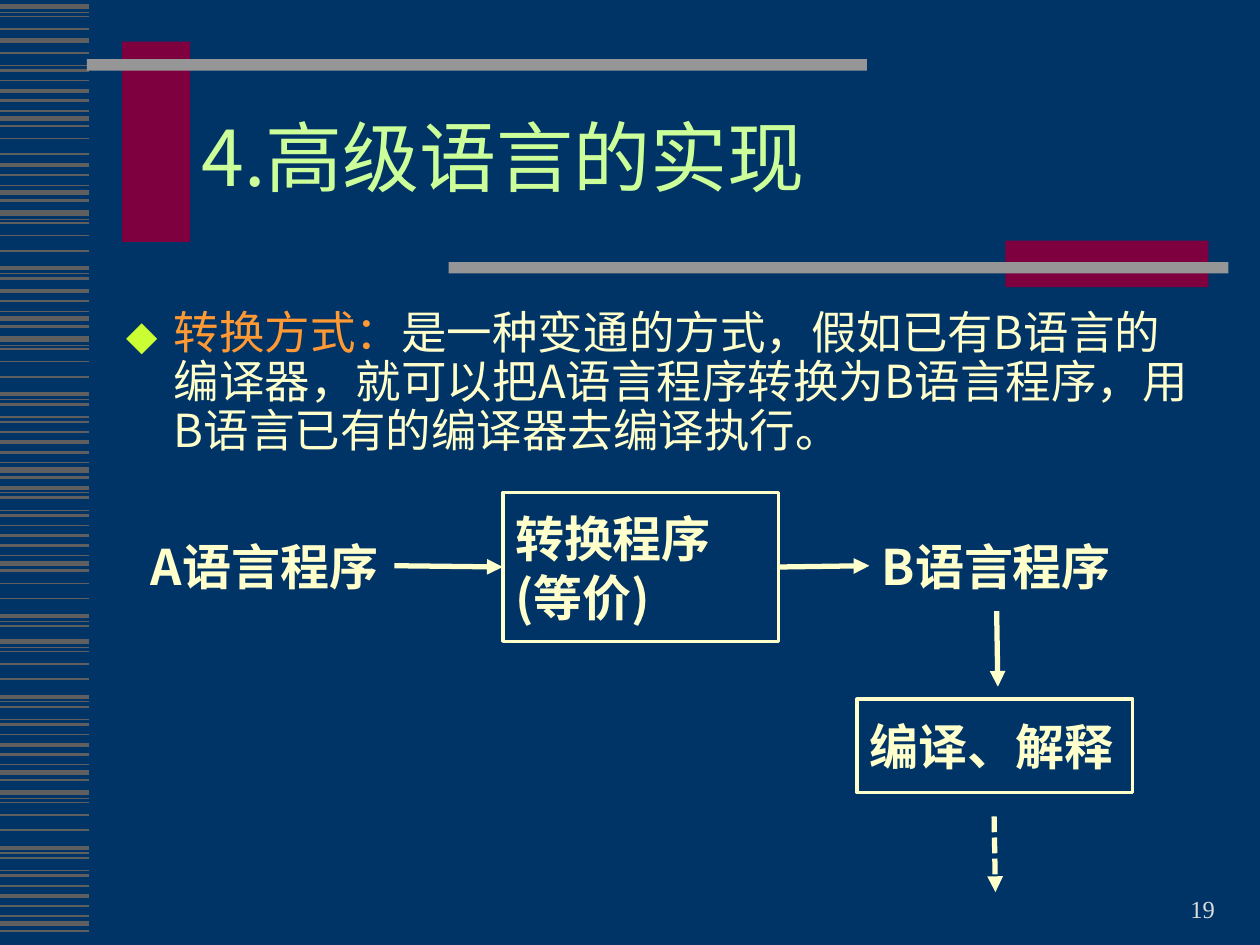
from lxml import etree
from pptx import Presentation
from pptx import util as u
from pptx.dml.color import RGBColor
from pptx.enum import dml, shapes, text
from pptx.oxml.ns import qn

NAVY, CREAM, LIME, ORANGE = "003366", "FFFFCC", "CCFF99", "FF9933"
WINE, SILVER, GRAPHITE = "7E003F", "969696", "5F5F5F"
SANS, SERIF = "Noto Sans CJK SC", "Times New Roman"

STRIPES = [
    (0, 3), (0.05, 0.75), (0.08, 1), (0.18, 1), (0.3, 1), (0.44, 2.25),
    (0.48, 0.75), (0.52, 1.5), (0.62, 0.75), (0.66, 1.5), (0.74, 1),
    (0.82, 2.25), (0.9, 1.5), (0.98, 0.75), (1.04, 3), (1.1, 1.5),
]
STRIPE_RUNS = [
    (0.05, 0, 4), (0.32, 0, 1), (-0.1, 7, 16), (0.92, 3, 5), (0.49, 11, 16),
    (1.69, 0, 8), (1.49, 11, 16), (2.69, 0, 16), (3.43, 5, 16),
    (4.45, 3, 8), (5.09, 0, 16), (6.29, 0, 16),
]


def color(value):
    """Turn a hex string into a colour."""
    return RGBColor.from_string(value)


def style(run, size, tint, bold=False, face=SANS):
    """Format one run, for Latin and East Asian letters alike."""
    run.font.size = u.Pt(size)
    run.font.bold = bold
    run.font.name = face
    run.font.color.rgb = color(tint)
    east = etree.Element(qn("a:ea"), typeface=face)
    run.font._element.find(qn("a:latin")).addnext(east)


def add_line(slide, start, end, tint, width):
    """Draw a plain straight line between two points in inches."""
    line = slide.shapes.add_connector(
        shapes.MSO_CONNECTOR.STRAIGHT, *map(u.Inches, start + end))
    line.line.color.rgb = color(tint)
    line.line.width = u.Pt(width)
    etree.SubElement(line._element.spPr, qn("a:effectLst"))
    return line


def add_arrow(slide, start, end, dashed=False):
    """Draw an arrow with a triangular head at its end."""
    arrow = add_line(slide, start, end, CREAM, 3)
    if dashed:
        arrow.line.dash_style = dml.MSO_LINE.SQUARE_DOT
    etree.SubElement(arrow.line._get_or_add_ln(), qn("a:tailEnd"), type="triangle")
    return arrow


def add_block(slide, box, fill, outline=None):
    """Draw a rectangle in the given box."""
    block = slide.shapes.add_shape(
        shapes.MSO_SHAPE.RECTANGLE, *map(u.Inches, box))
    block.shadow.inherit = False
    block.fill.solid()
    block.fill.fore_color.rgb = color(fill)
    if outline:
        block.line.color.rgb = color(outline)
        block.line.width = u.Pt(2)
    else:
        block.line.fill.background()
    return block


def write(holder, words, size, tint, anchor=text.MSO_ANCHOR.TOP,
          align=text.PP_ALIGN.LEFT, bold=False, face=SANS):
    """Fill a shape with uniformly formatted paragraphs."""
    frame = holder.text_frame
    frame.word_wrap = True
    frame.vertical_anchor = anchor
    frame.text = words
    for paragraph in frame.paragraphs:
        paragraph.alignment = align
        for run in paragraph.runs:
            style(run, size, tint, bold, face)
    return frame


def add_text(slide, box, *args, **options):
    """Place a text box and fill it."""
    return write(slide.shapes.add_textbox(*map(u.Inches, box)), *args, **options)


def stripe_band(slide, left, width):
    """Fill the side band with repeats of the stripe pattern."""
    for origin, first, last in STRIPE_RUNS:
        for offset, weight in STRIPES[first:last]:
            y = origin + offset
            add_line(slide, (left, y), (left + width, y), GRAPHITE, weight)


def heading(slide, left, top):
    """Place the title with the blocks and bars around it."""
    for x, y, width, height, fill in [
        (0.28, 0, 0.54, 1.59, WINE),
        (0, 0.14, 6.19, 0.09, SILVER),
        (7.29, 1.58, 1.61, 0.37, WINE),
        (2.87, 1.75, 6.19, 0.09, SILVER),
    ]:
        add_block(slide, (left + x, top + y, width, height), fill)
    title = add_text(slide, (left + 0.81, top + 0.34, 8.07, 1.25),
                     "4.高级语言的实现", 44, LIME, text.MSO_ANCHOR.MIDDLE)
    title.paragraphs[0].line_spacing = 0.85


def explanation(slide, box):
    """Write the bulleted explanation of the conversion method."""
    frame = add_text(slide, box, "转换方式：", 26, ORANGE)
    paragraph = frame.paragraphs[0]
    paragraph.line_spacing = 0.9
    detail = paragraph.add_run()
    detail.text = ("是一种变通的方式，假如已有B语言的编译器，就可以把A语言程序"
                   "转换为B语言程序，用B语言已有的编译器去编译执行。")
    style(detail, 26, CREAM)
    props = paragraph._p.get_or_add_pPr()
    props.set("marL", str(u.Inches(0.38)))
    props.set("indent", str(-u.Inches(0.38)))
    tint = etree.SubElement(props, qn("a:buClr"))
    etree.SubElement(tint, qn("a:srgbClr"), val="CCFF33")
    etree.SubElement(props, qn("a:buFont"), typeface=SANS)
    etree.SubElement(props, qn("a:buChar"), char="⬥")


def conversion_flow(slide, left, top):
    """Draw the flow from language A through conversion to execution."""
    def at(x, y):
        return left + x, top + y

    def step(box, words):
        block = add_block(slide, at(*box[:2]) + box[2:], NAVY, CREAM)
        write(block, words, 28, CREAM, text.MSO_ANCHOR.MIDDLE, bold=True)
        return block

    add_text(slide, at(0, 0.3) + (2.03, 1.04), "A语言程序", 28, CREAM, bold=True)
    add_text(slide, at(5.8, 0.3) + (2.25, 0.57), "B语言程序", 28, CREAM, bold=True)
    converter = step((2.89, 0, 2.19, 1.18), "转换程序\n(等价)")
    step((5.7, 1.64, 2.19, 0.74), "编译、解释")
    incoming = add_arrow(slide, at(2.03, 0.58), at(2.89, 0.59))
    incoming.end_connect(converter, 1)
    outgoing = add_arrow(slide, at(5.08, 0.59), at(5.8, 0.58))
    outgoing.begin_connect(converter, 3)
    add_arrow(slide, at(6.81, 0.94), at(6.82, 1.54))
    add_arrow(slide, at(6.79, 2.57), at(6.8, 3.17), dashed=True)


def page_number(slide, box):
    """Write the page number."""
    add_text(slide, box, "19", 14, "DDDDDD", text.MSO_ANCHOR.BOTTOM,
             text.PP_ALIGN.RIGHT, face=SERIF)


def main():
    """Build and save the slide."""
    deck = Presentation()
    deck.slide_width, deck.slide_height = u.Inches(10), u.Inches(7.5)
    slide = deck.slides.add_slide(deck.slide_layouts[6])
    slide.background.fill.solid()
    slide.background.fill.fore_color.rgb = color(NAVY)
    stripe_band(slide, 0, 0.71)
    heading(slide, 0.69, 0.33)
    page_number(slide, (7.34, 6.88, 2.4, 0.5))
    explanation(slide, (0.9, 2.41, 8.7, 1.3))
    conversion_flow(slide, 1.1, 3.91)
    deck.save("out.pptx")


if __name__ == "__main__":
    main()
